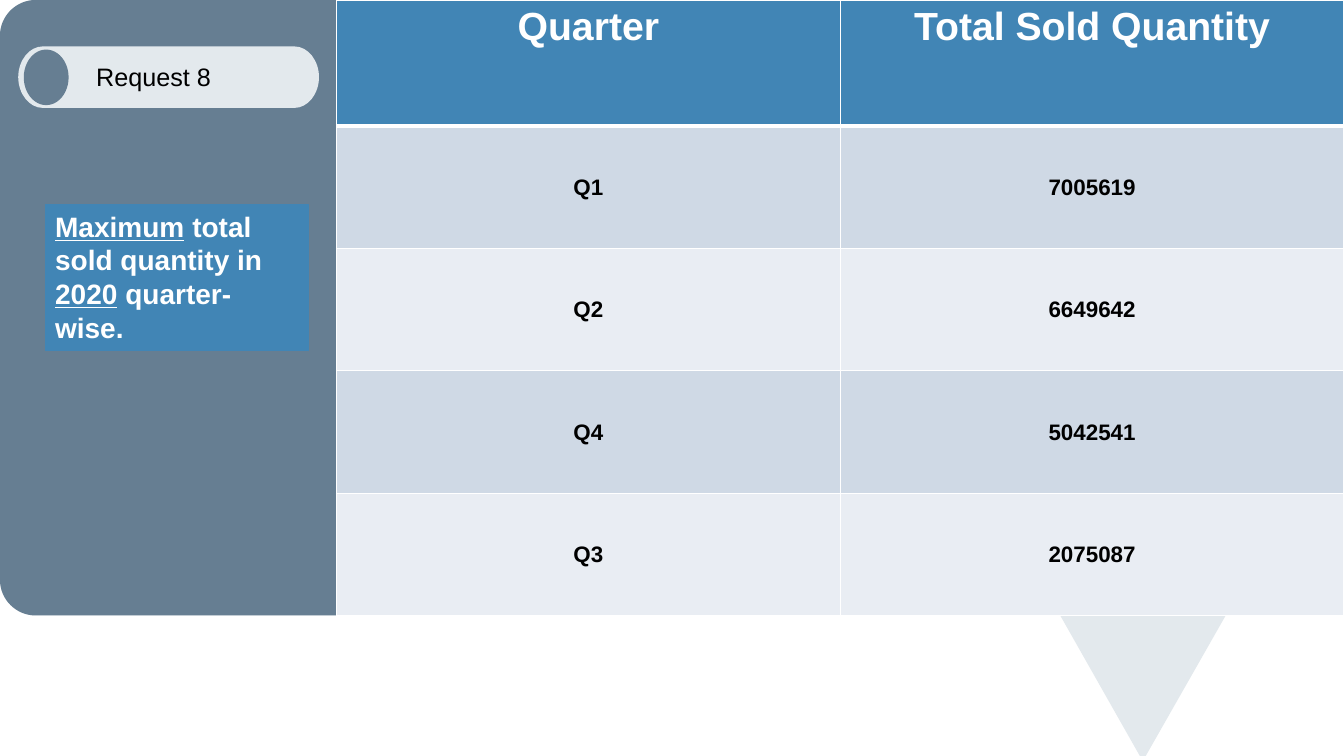
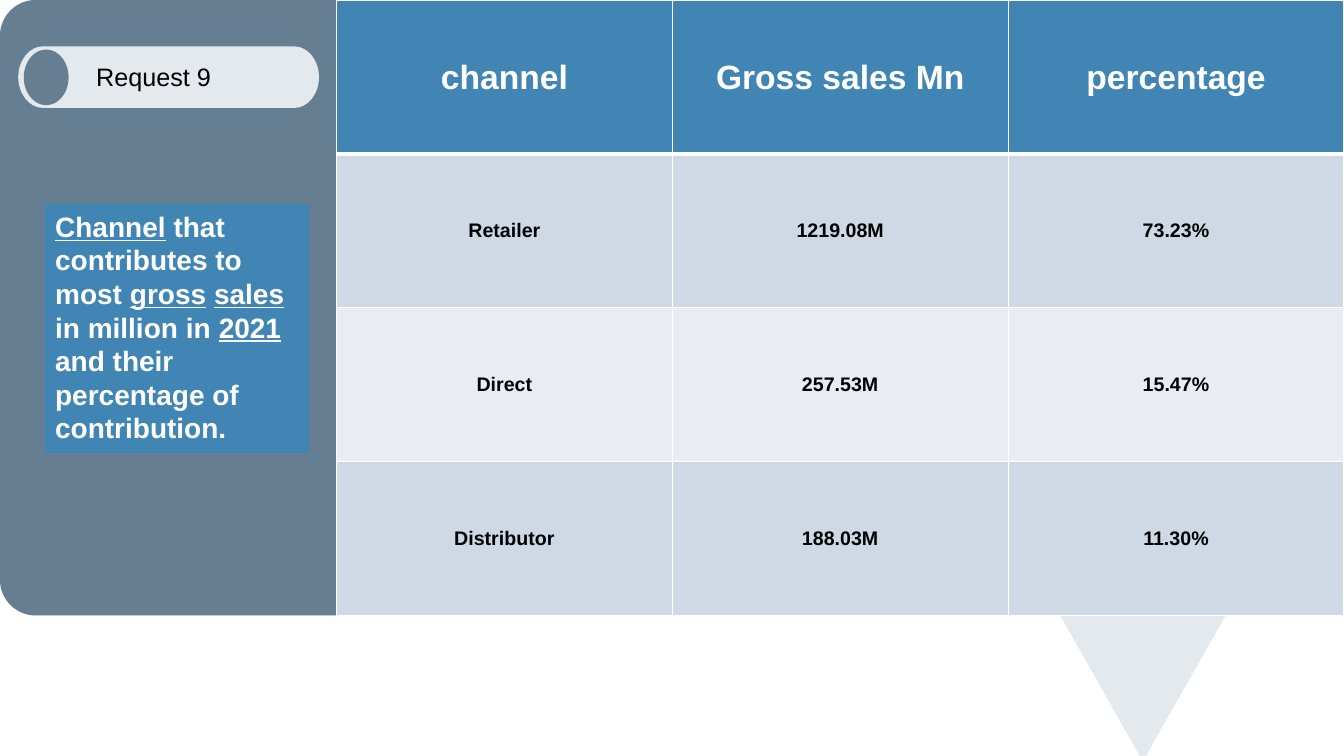
from lxml.etree import SubElement
from pptx import Presentation
from pptx.dml.color import RGBColor
from pptx.enum.shapes import MSO_SHAPE
from pptx.enum.text import MSO_ANCHOR, MSO_AUTO_SIZE, PP_ALIGN
from pptx.oxml.ns import qn
from pptx.util import Cm, Pt

WHITE = RGBColor(0xFF, 0xFF, 0xFF)
BLACK = RGBColor(0, 0, 0)
PALE = RGBColor(0xE3, 0xE9, 0xED)
SLATE = RGBColor(0x66, 0x7E, 0x92)
BLUE = RGBColor(0x41, 0x85, 0xB5)
BANDS = RGBColor(0xCF, 0xD9, 0xE5), RGBColor(0xE9, 0xED, 0xF3)
WIDE, TALL = 33.87, 19.05
SIDE, DEEP = 8.48, 15.51
CURVE = 0.9


def bend(start, peak, stop):
    """Return a line step and a curve step that round off a corner."""
    pulls = [tuple(a + 0.55 * (b - a) for a, b in zip(end, peak))
             for end in (start, stop)]
    return [[start], [*pulls, stop]]


def ends(left, top, width, height, rx, ry):
    """Return the four rounded corners of a box, clockwise from top left."""
    right, base = left + width, top + height
    return [
        bend((left, top + ry), (left, top), (left + rx, top)),
        bend((right - rx, top), (right, top), (right, top + ry)),
        bend((right, base - ry), (right, base), (right - rx, base)),
        bend((left + rx, base), (left, base), (left, base - ry)),
    ]


class Deck:
    """Holds the shared style and the current slide."""

    def __init__(self):
        """Start an empty wide deck."""
        self.file = Presentation()
        self.file.slide_width, self.file.slide_height = Cm(WIDE), Cm(TALL)
        self.slide = None

    def style(self, para, size, color, bold=True, align=PP_ALIGN.CENTER):
        """Set the alignment and font of a paragraph."""
        para.alignment = align
        font = para.font
        font.name, font.size, font.bold = "Arial", Pt(size), bold
        font.color.rgb = color

    def paint(self, shape, color):
        """Give a shape a flat fill with no line or shadow."""
        shape.shadow.inherit = False
        shape.fill.solid()
        shape.fill.fore_color.rgb = color
        shape.line.fill.background()

    def outline(self, steps, color):
        """Draw a closed outline from line steps and three-point curves."""
        spots = [(Cm(x), Cm(y)) for step in steps for x, y in step]
        form = self.slide.shapes.build_freeform(*spots[0])
        form.add_line_segments(spots[1:], close=True)
        shape = form.convert_to_shape()
        lines = iter(list(shape.element.iter(qn("a:lnTo"))))
        for step in steps[1:]:
            first, *rest = [next(lines) for _ in step]
            if rest:
                first.tag = qn("a:cubicBezTo")
            for line in rest:
                first.append(line[0])
                line.getparent().remove(line)
        self.paint(shape, color)

    def box(self, kind, place, color):
        """Draw a flat preset shape."""
        shape = self.slide.shapes.add_shape(kind, *map(Cm, place))
        self.paint(shape, color)
        return shape

    def title(self, text):
        """Place the title on its pill with a round knob."""
        pill = ends(0.46, 1.17, 7.58, 1.55, 0.62, 0.78)
        self.outline(sum(pill, []), PALE)
        self.box(MSO_SHAPE.OVAL, (0.6, 1.25, 1.13, 1.4), SLATE)
        title = self.slide.shapes.title
        title.element.getparent().append(title.element)
        title.left, title.top = Cm(2.17), Cm(1.42)
        title.width, title.height = Cm(4.98), Cm(1.02)
        frame = title.text_frame
        frame.text = text
        frame.auto_size = MSO_AUTO_SIZE.SHAPE_TO_FIT_TEXT
        frame.vertical_anchor = MSO_ANCHOR.TOP
        self.style(frame.paragraphs[0], 18, BLACK, False, PP_ALIGN.LEFT)

    def page(self, text):
        """Add a slide with its backdrop, side panel and title."""
        self.slide = self.file.slides.add_slide(self.file.slide_layouts[5])
        nw, ne, se, sw = ends(0, 0, WIDE, DEEP, CURVE, CURVE)
        tip = [[(30.89, DEEP)], [(28.8, 19.18)], [(26.72, DEEP)]]
        self.outline(nw + ne + se + tip + sw, PALE)
        self.outline(nw + [[(SIDE, 0)], [(SIDE, DEEP)]] + sw, SLATE)
        self.title(text)

    def prompt(self, text, height):
        """Add the request box, underlining words between asterisks."""
        shape = self.box(MSO_SHAPE.RECTANGLE, (1.14, 5.15, 6.63, height), BLUE)
        shape.line.color.rgb = BLUE
        shape.line.width = Pt(1)
        frame = shape.text_frame
        frame.word_wrap = True
        frame.auto_size = MSO_AUTO_SIZE.SHAPE_TO_FIT_TEXT
        frame.vertical_anchor = MSO_ANCHOR.TOP
        para = frame.paragraphs[0]
        self.style(para, 20, WHITE, align=PP_ALIGN.LEFT)
        for n, part in enumerate(text.split("*")):
            if part:
                run = para.add_run()
                run.text = part
                if n % 2:
                    run.font.underline = True

    def edge(self, cell, side, width):
        """Draw one white border of a cell."""
        props = cell._tc.get_or_add_tcPr()
        line = SubElement(props, qn("a:ln" + side), w=str(Pt(width)))
        fill = SubElement(line, qn("a:solidFill"))
        SubElement(fill, qn("a:srgbClr"), val=str(WHITE))

    def cell(self, cell, text, row, size, tight):
        """Fill and format one cell."""
        for side in "LRTB":
            self.edge(cell, side, 3 if (row, side) == (0, "B") else 1)
        cell.fill.solid()
        cell.fill.fore_color.rgb = BANDS[(row - 1) % 2] if row else BLUE
        if tight:
            cell.vertical_anchor = MSO_ANCHOR.MIDDLE
            cell.margin_left = cell.margin_right = cell.margin_top = Cm(0.02)
            cell.margin_bottom = 0
        cell.text = text
        para = cell.text_frame.paragraphs[0]
        self.style(para, size, BLACK if row else WHITE)

    def table(self, rows, head, sizes, tight):
        """Add the table, with a header row of the given height."""
        wide = WIDE - SIDE
        place = map(Cm, (SIDE, 0, wide, DEEP))
        table = self.slide.shapes.add_table(
            len(rows), len(rows[0]), *place).table
        table.horz_banding = False
        for col in table.columns:
            col.width = Cm(wide / len(rows[0]))
        rest = (DEEP - head) / (len(rows) - 1)
        for n, texts in enumerate(rows):
            table.rows[n].height = Cm(rest if n else head)
            for m, text in enumerate(texts):
                self.cell(table.cell(n, m), text, n, sizes[n > 0],
                          tight or n > 0)


def main():
    """Build and save both slides."""
    deck = Deck()
    deck.page("Request 8")
    deck.prompt("*Maximum* total sold quantity in *2020* quarter-wise.", 3.68)
    deck.table([
        ("Quarter", "Total Sold Quantity"),
        ("Q1", "7005619"),
        ("Q2", "6649642"),
        ("Q4", "5042541"),
        ("Q3", "2075087"),
    ], 3.18, (28, 16), False)

    deck.page("Request 9")
    deck.prompt("*Channel* that contributes to most *gross* *sales* in million"
                " in *2021* and their percentage of contribution.", 6.25)
    deck.table([
        ("channel", "Gross sales Mn", "percentage"),
        ("Retailer", "1219.08M", "73.23%"),
        ("Direct", "257.53M", "15.47%"),
        ("Distributor", "188.03M", "11.30%"),
    ], DEEP / 4, (24, 14), True)
    deck.file.save("out.pptx")


if __name__ == "__main__":
    main()
